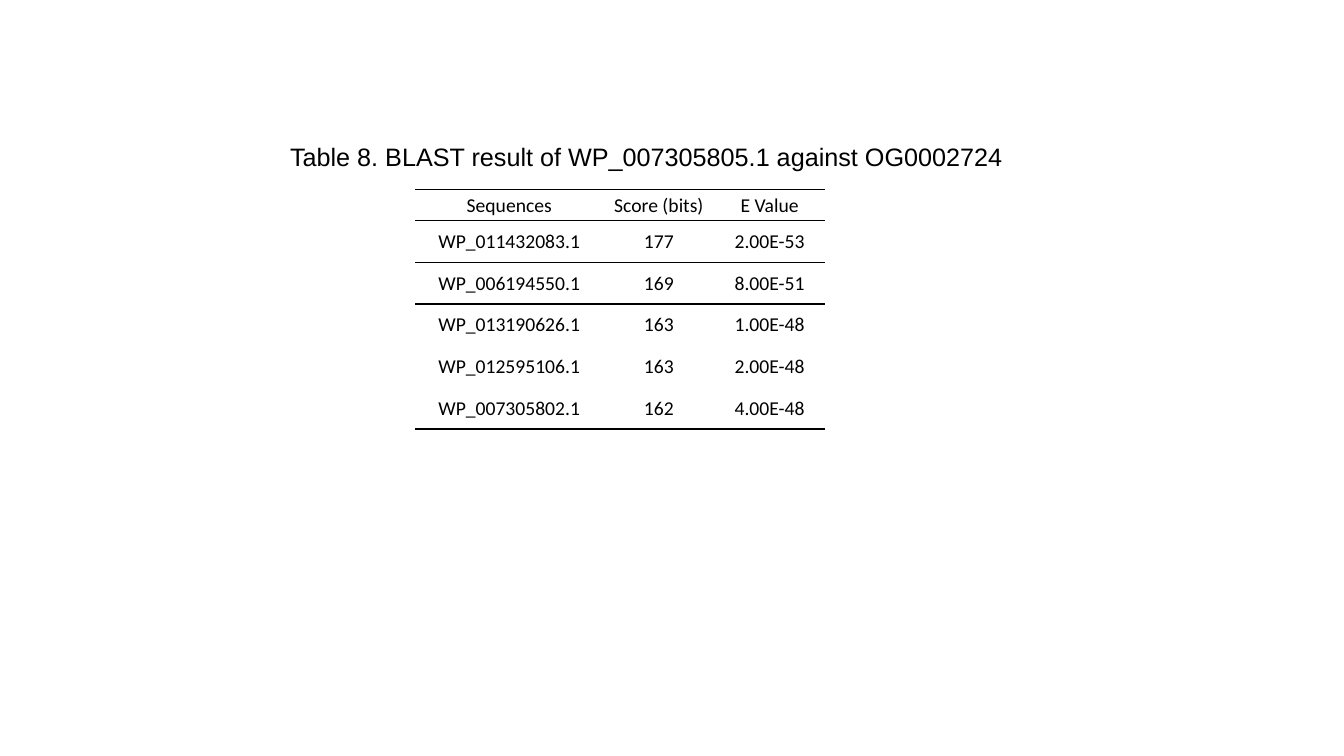
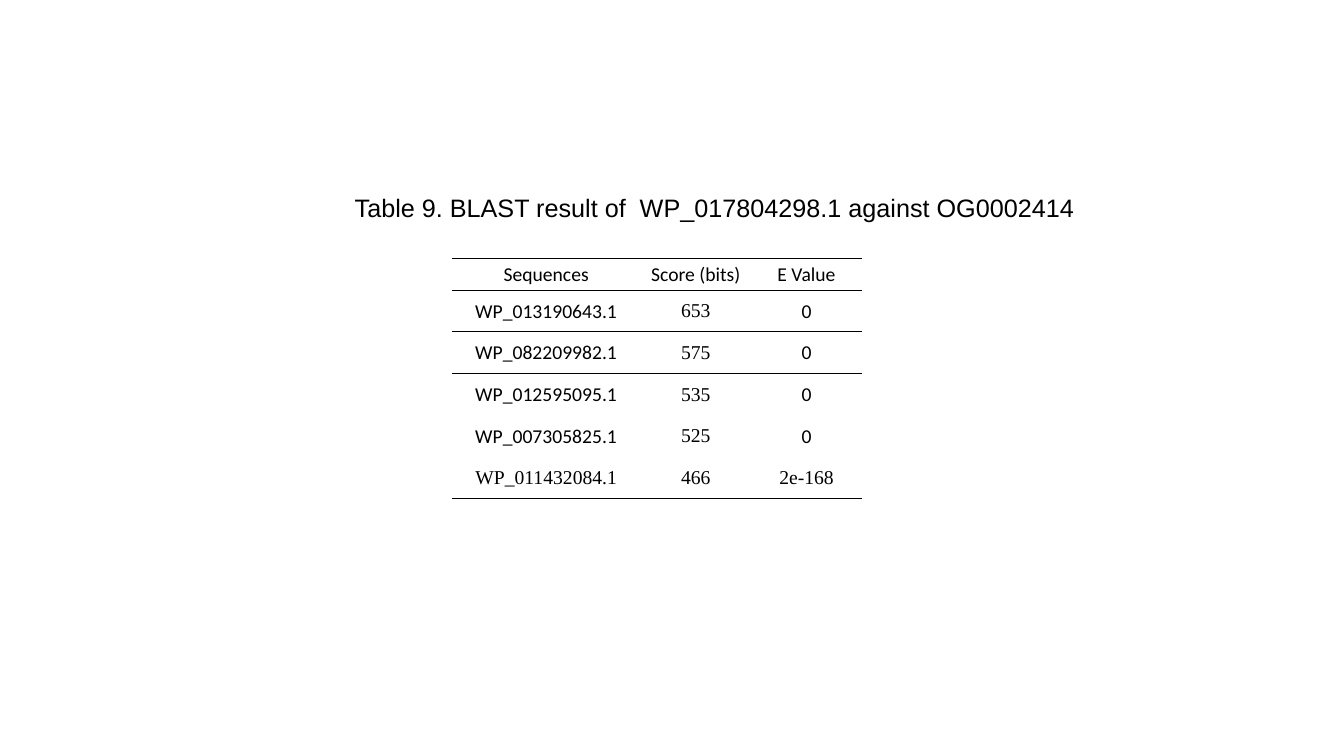
"""Build two slides, each with a titled table of BLAST hits."""
from lxml.etree import SubElement
from pptx import Presentation
from pptx.dml.color import RGBColor
from pptx.enum.text import MSO_ANCHOR, MSO_AUTO_SIZE, PP_ALIGN
from pptx.oxml.ns import qn
from pptx.util import Cm, Pt

HEAD = ("Sequences", "Score (bits)", "E Value")
PAGES = [
    {
        "title": "Table 8. BLAST result of WP_007305805.1 against OG0002724",
        "box": (7.06, 3.43, 19.74, 1.02),
        "spot": (10.46, 4.77),
        "serif": False,
        "hits": [
            ("WP_011432083.1", "177", "2.00E-53"),
            ("WP_006194550.1", "169", "8.00E-51"),
            ("WP_013190626.1", "163", "1.00E-48"),
            ("WP_012595106.1", "163", "2.00E-48"),
            ("WP_007305802.1", "162", "4.00E-48"),
        ],
    },
    {
        "title": "Table 9. BLAST result of  WP_017804298.1 against OG0002414",
        "box": (8.69, 4.72, 21.06, 1.02),
        "spot": (11.39, 6.52),
        "serif": True,
        "hits": [
            ("WP_013190643.1", "653", "0"),
            ("WP_082209982.1", "575", "0"),
            ("WP_012595095.1", "535", "0"),
            ("WP_007305825.1", "525", "0"),
            ("WP_011432084.1", "466", "2e-168"),
        ],
    },
]
COLS = (4.75, 2.79, 2.79)
TOP, ROW = 0.79, 1.05
INK = "000000"
PLAIN = "{2D5ABB26-0587-4C30-8999-92F81FD0307C}"
CELL = {
    "margin_left": Cm(0.02),
    "margin_right": Cm(0.02),
    "margin_top": Cm(0.02),
    "margin_bottom": 0,
    "vertical_anchor": MSO_ANCHOR.MIDDLE,
}
FRAME = {"word_wrap": True, "auto_size": MSO_AUTO_SIZE.SHAPE_TO_FIT_TEXT}


def color(code):
    return RGBColor.from_string(code)


def apply(item, values):
    for name, value in values.items():
        setattr(item, name, value)


def write(frame, text, face, size, align):
    par = frame.paragraphs[0]
    par.alignment = align
    run = par.add_run()
    run.text = text
    apply(run.font, {"name": face, "size": Pt(size)})
    run.font.color.rgb = color(INK)


def rule(cell, side):
    line = SubElement(cell._tc.get_or_add_tcPr(), qn(f"a:{side}"), w=str(Pt(1)))
    fill = SubElement(line, qn("a:solidFill"))
    SubElement(fill, qn("a:srgbClr"), val=INK)


def add_title(slide, page):
    box = slide.shapes.add_textbox(*map(Cm, page["box"]))
    apply(box.text_frame, FRAME)
    write(box.text_frame, page["title"], "Arial", 18, PP_ALIGN.LEFT)


def add_hits(slide, page):
    rows = [HEAD, *page["hits"]]
    last = len(rows) - 1
    size = (sum(COLS), TOP + ROW * last)
    shape = slide.shapes.add_table(
        len(rows), len(COLS), *map(Cm, (*page["spot"], *size)))
    table = shape.table
    table._tbl.tblPr.find(qn("a:tableStyleId")).text = PLAIN
    apply(table, {"first_row": False, "horz_banding": False})
    for col, width in zip(table.columns, COLS):
        col.width = Cm(width)
    for r, texts in enumerate(rows):
        table.rows[r].height = Cm(ROW if r else TOP)
        for c, text in enumerate(texts):
            cell = table.cell(r, c)
            apply(cell, CELL)
            if r <= 2:
                rule(cell, "lnT")
            if r in (0, 1, last):
                rule(cell, "lnB")
            cell.fill.background()
            serif = page["serif"] and r and (c == 1 or r == last)
            face = "Times New Roman" if serif else "Calibri"
            write(cell.text_frame, text, face, 14, PP_ALIGN.CENTER)


def main():
    deck = Presentation()
    apply(deck, {"slide_width": Cm(33.87), "slide_height": Cm(19.05)})
    for page in PAGES:
        slide = deck.slides.add_slide(deck.slide_layouts[6])
        add_hits(slide, page)
        add_title(slide, page)
    deck.save("out.pptx")


if __name__ == "__main__":
    main()
